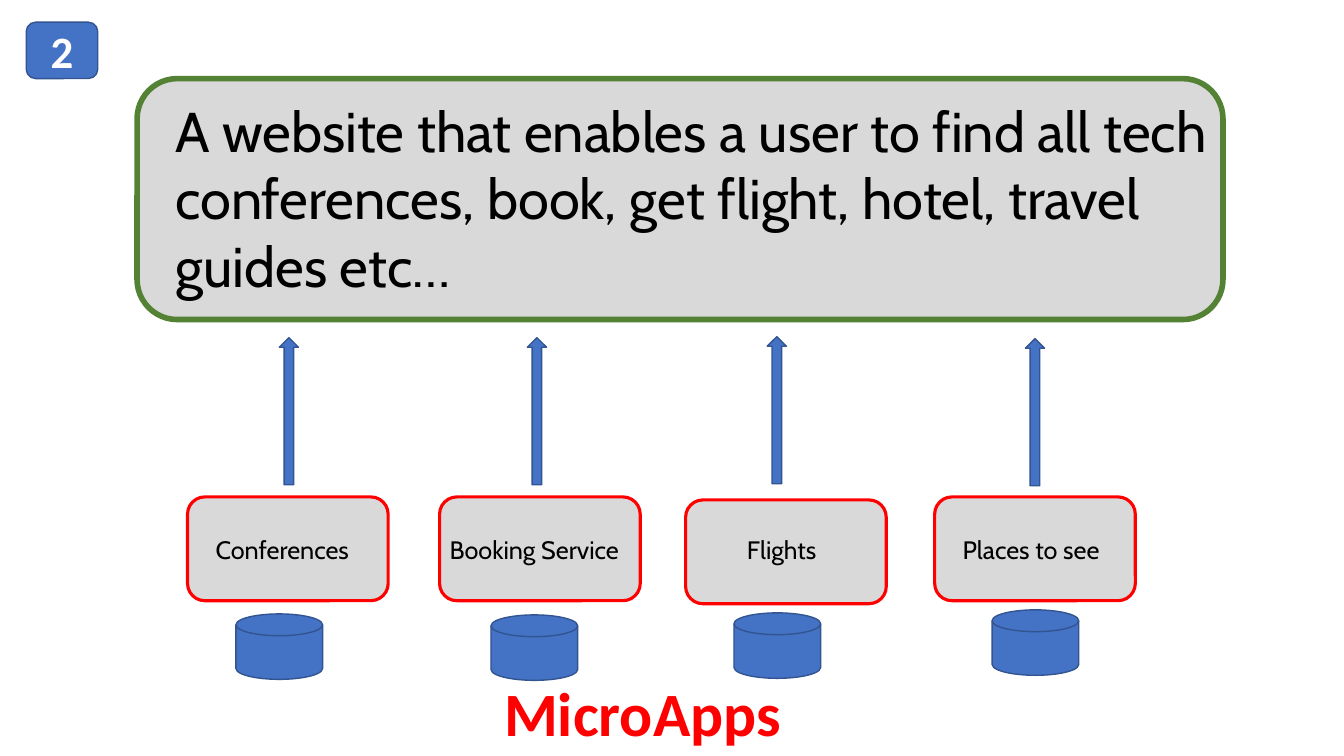
import collections

import pptx
import pptx.dml.color
import pptx.enum.shapes
import pptx.enum.text
import pptx.util

COLUMNS, ROWS = 133.3, 75
CELL = pptx.util.Inches(0.1)
COLORS = {
    "panel": "D9D9D9",
    "green": "548235",
    "red": "FF0000",
    "blue": "4472C4",
    "navy": "325491",
    "black": "000000",
    "white": "FFFFFF",
}
STATEMENT = (
    "A website that enables a user to find all tech conferences, "
    "book, get flight, hotel, travel guides etc…"
)
SHAPES = pptx.enum.shapes.MSO_SHAPE
ALIGN = pptx.enum.text.PP_ALIGN
ANCHOR = pptx.enum.text.MSO_ANCHOR

Box = collections.namedtuple("Box", "left top width height")
App = collections.namedtuple("App", "name box label arrow disk")

APPS = [
    App("Conferences", Box(18.6, 49.3, 19.9, 10.3), Box(1.8, 3.2, 16.3, 4), (9.1, -15.8), (4.8, 11.6)),
    App("Booking Service", Box(43.6, 49.3, 19.9, 10.3), Box(0, 3.2, 19.9, 4), (8.7, -15.8), (5.1, 11.7)),
    App("Flights", Box(68, 49.6, 19.9, 10.3), Box(5.1, 2.9, 9.7, 4), (8.1, -16.2), (4.8, 11.2)),
    App("Places to see", Box(92.7, 49.3, 19.9, 10.3), Box(1.8, 3.2, 16.3, 4), (9, -15.7), (5.7, 11.2)),
]


def color(name):
    """Return the named colour."""
    return pptx.dml.color.RGBColor.from_string(COLORS[name])


def lengths(box):
    """Turn a box in grid cells into slide lengths."""
    return [round(cells * CELL) for cells in box]


def inside(box, part):
    """Shift a part by the corner of the box that holds it."""
    return Box(box.left + part.left, box.top + part.top, part.width, part.height)


def add_shape(slide, kind, box, fill, line, line_width=1):
    """Add a filled and outlined preset shape."""
    shape = slide.shapes.add_shape(kind, *lengths(box))
    shape.shadow.inherit = False
    shape.fill.solid()
    shape.fill.fore_color.rgb = color(fill)
    shape.line.color.rgb = color(line)
    shape.line.width = pptx.util.Pt(line_width)
    return shape


def write(shape, text, font_color, anchor=ANCHOR.TOP, alignment=ALIGN.LEFT, **font):
    """Write one formatted paragraph into a shape."""
    frame = shape.text_frame
    frame.text = text
    frame.word_wrap = True
    frame.auto_size = pptx.enum.text.MSO_AUTO_SIZE.NONE
    frame.vertical_anchor = anchor
    paragraph = frame.paragraphs[0]
    paragraph.alignment = alignment
    run = paragraph.runs[0]
    run.font.color.rgb = color(font_color)
    for attribute, value in font.items():
        setattr(run.font, attribute, value)


def add_label(slide, box, text, size):
    """Add a plain text box."""
    label = slide.shapes.add_textbox(*lengths(box))
    write(label, text, "black", name="Cabin", size=pptx.util.Pt(size))


def build_title(slide, box):
    """Move the title placeholder into the box and write the heading."""
    title = slide.shapes.title
    title.left, title.top, title.width, title.height = lengths(box)
    write(title, "MicroApps", "red", name="Calibri", size=pptx.util.Pt(44), bold=True)


def build_badge(slide, box):
    """Add the numbered badge."""
    badge = add_shape(slide, SHAPES.ROUNDED_RECTANGLE, box, "blue", "navy")
    write(badge, "2", "white", ANCHOR.MIDDLE, ALIGN.CENTER,
          name="Calibri", size=pptx.util.Pt(32), bold=True)


def build_statement(slide, box):
    """Add the panel that describes the website."""
    add_shape(slide, SHAPES.ROUNDED_RECTANGLE, box, "panel", "green", 4)
    add_label(slide, inside(box, Box(2.8, 1.3, 106.1, 21.2)), STATEMENT, 40)


def build_app(slide, app):
    """Add one service with its label, arrow and database."""
    add_shape(slide, SHAPES.ROUNDED_RECTANGLE, app.box, "panel", "red", 2.25)
    add_label(slide, inside(app.box, app.label), app.name, 18)
    for kind, corner, size in (
        (SHAPES.UP_ARROW, app.arrow, (1.9, 14.6)),
        (SHAPES.FLOWCHART_MAGNETIC_DISK, app.disk, (8.6, 6.5)),
    ):
        add_shape(slide, kind, inside(app.box, Box(*corner, *size)), "blue", "navy")


def main():
    """Build and save the slide."""
    presentation = pptx.Presentation()
    presentation.slide_width, presentation.slide_height = lengths((COLUMNS, ROWS))
    slide = presentation.slides.add_slide(presentation.slide_layouts.get_by_name("Title Only"))
    build_title(slide, Box(49, 66.5, 31, 8.4))
    build_badge(slide, Box(2.6, 2.2, 7.1, 5.6))
    build_statement(slide, Box(13.6, 7.8, 107.7, 23.9))
    for app in APPS:
        build_app(slide, app)
    presentation.save("out.pptx")


if __name__ == "__main__":
    main()
